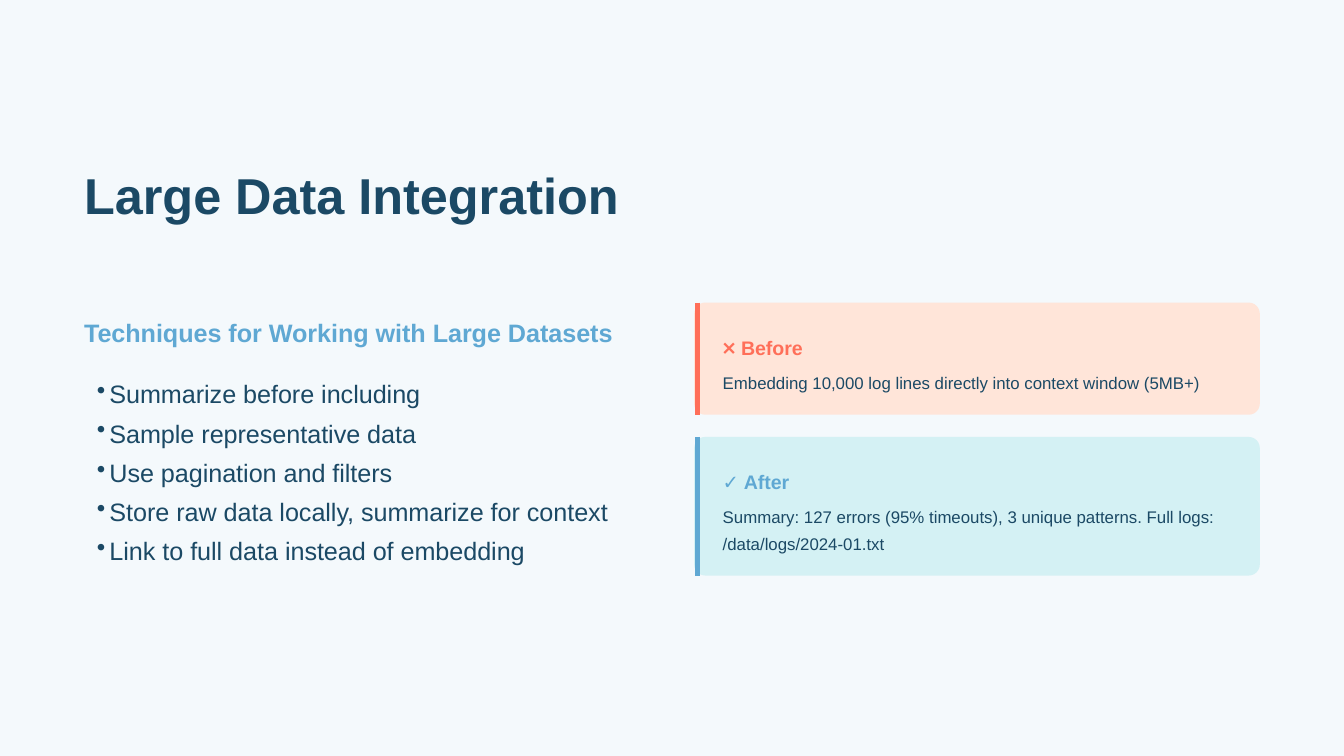
from dataclasses import dataclass
from typing import Any

import lxml.etree
import pptx
import pptx.dml.color
import pptx.enum.shapes
import pptx.oxml.ns
import pptx.util

Cm = pptx.util.Cm
Pt = pptx.util.Pt
RGBColor = pptx.dml.color.RGBColor
qn = pptx.oxml.ns.qn

BACKGROUND = RGBColor(0xF4, 0xF9, 0xFC)
NAVY = RGBColor(0x1B, 0x49, 0x65)
BLUE = RGBColor(0x5F, 0xA8, 0xD3)
CORAL = RGBColor(0xFF, 0x6F, 0x59)
PEACH = RGBColor(0xFF, 0xE5, 0xD9)
AQUA = RGBColor(0xD4, 0xF1, 0xF4)

LEFT = 1.59
CARD_LEFT, CARD_TOP, CARD_WIDTH, CARD_GAP = 13.12, 5.72, 10.69, 0.42
CARD_RADIUS, CARD_PAD = 0.21, 0.54
BULLET_INDENT = 0.24


@dataclass(frozen=True)
class TextStyle:
    size: float
    color: RGBColor
    leading: float
    bold: bool = False
    before: float = 0
    after: float = 0


@dataclass(frozen=True)
class Card:
    heading: str
    body: str
    height: float
    body_height: float
    fill: RGBColor
    accent: RGBColor


TITLE = TextStyle(27, NAVY, 30, bold=True, after=24)
SUBTITLE = TextStyle(13.5, BLUE, 21, bold=True, before=3, after=12)
LIST_ITEM = TextStyle(13.5, NAVY, 21)
CARD_BODY = TextStyle(9, NAVY, 14.4)

TECHNIQUES = [
    "Summarize before including",
    "Sample representative data",
    "Use pagination and filters",
    "Store raw data locally, summarize for context",
    "Link to full data instead of embedding",
]

CARDS = [
    Card("❌ Before",
         "Embedding 10,000 log lines directly into context window (5MB+)",
         2.12, 0.51, PEACH, CORAL),
    Card("✓ After",
         "Summary: 127 errors (95% timeouts), 3 unique patterns. "
         "Full logs: /data/logs/2024-01.txt",
         2.62, 1.02, AQUA, BLUE),
]


def set_attrs(target: Any, values: dict[str, Any]) -> None:
    for name, value in values.items():
        setattr(target, name, value)


def add_bullet(p: Any) -> None:
    pPr = p._p.get_or_add_pPr()
    pPr.set("marL", str(Cm(BULLET_INDENT)))
    pPr.set("indent", str(-Cm(BULLET_INDENT)))
    lxml.etree.SubElement(pPr, qn("a:buChar")).set("char", "•")


def add_text(slide: Any, box: tuple[float, float, float, float],
             lines: list[str], style: TextStyle, bulleted: bool = False) -> None:
    sp = slide.shapes.add_textbox(*map(Cm, box))
    tf = sp.text_frame
    set_attrs(tf, {
        "word_wrap": True,
        "margin_left": Cm(BULLET_INDENT if bulleted else 0),
        "margin_top": 0,
        "margin_right": 0,
        "margin_bottom": 0,
    })
    for i, line in enumerate(lines):
        p = tf.add_paragraph() if i else tf.paragraphs[0]
        set_attrs(p, {
            "line_spacing": Pt(style.leading),
            "space_before": Pt(style.before),
            "space_after": Pt(style.after),
        })
        if bulleted:
            add_bullet(p)
        r = p.add_run()
        r.text = line
        set_attrs(r.font, {"name": "Arial", "size": Pt(style.size), "bold": style.bold})
        r.font.color.rgb = style.color


def add_card(slide: Any, card: Card, top: float) -> None:
    sp = slide.shapes.add_shape(
        pptx.enum.shapes.MSO_SHAPE.ROUNDED_RECTANGLE,
        Cm(CARD_LEFT), Cm(top), Cm(CARD_WIDTH), Cm(card.height))
    sp.shadow.inherit = False
    sp.adjustments[0] = CARD_RADIUS / card.height
    sp.fill.solid()
    sp.fill.fore_color.rgb = card.fill
    sp.line.fill.background()

    x = Cm(CARD_LEFT + 0.06)
    bar = slide.shapes.add_connector(
        pptx.enum.shapes.MSO_CONNECTOR.STRAIGHT, x, Cm(top), x, Cm(top + card.height))
    bar.line.width = Pt(3)
    bar.line.color.rgb = card.accent
    lxml.etree.SubElement(bar._element.spPr, qn("a:effectLst"))

    left, width = CARD_LEFT + CARD_PAD, 9.93
    heading = TextStyle(10.5, card.accent, 15, bold=True, before=3, after=3.6)
    add_text(slide, (left, top + CARD_PAD, width, 0.53), [card.heading], heading)
    add_text(slide, (left, top + 1.19, width, card.body_height), [card.body], CARD_BODY)


def main() -> None:
    prs = pptx.Presentation()
    set_attrs(prs, {"slide_width": Cm(25.4), "slide_height": Cm(14.29)})
    slide = prs.slides.add_slide(prs.slide_layouts[6])
    slide.background.fill.solid()
    slide.background.fill.fore_color.rgb = BACKGROUND

    add_text(slide, (LEFT, 3.18, 11.35, 1.07), ["Large Data Integration"], TITLE)
    add_text(slide, (LEFT, 5.82, 10.9, 0.74),
             ["Techniques for Working with Large Datasets"], SUBTITLE)
    add_text(slide, (LEFT, 6.99, 10.69, 4.11), TECHNIQUES, LIST_ITEM, bulleted=True)

    top = CARD_TOP
    for card in CARDS:
        add_card(slide, card, top)
        top += card.height + CARD_GAP

    prs.save("out.pptx")


if __name__ == "__main__":
    main()
